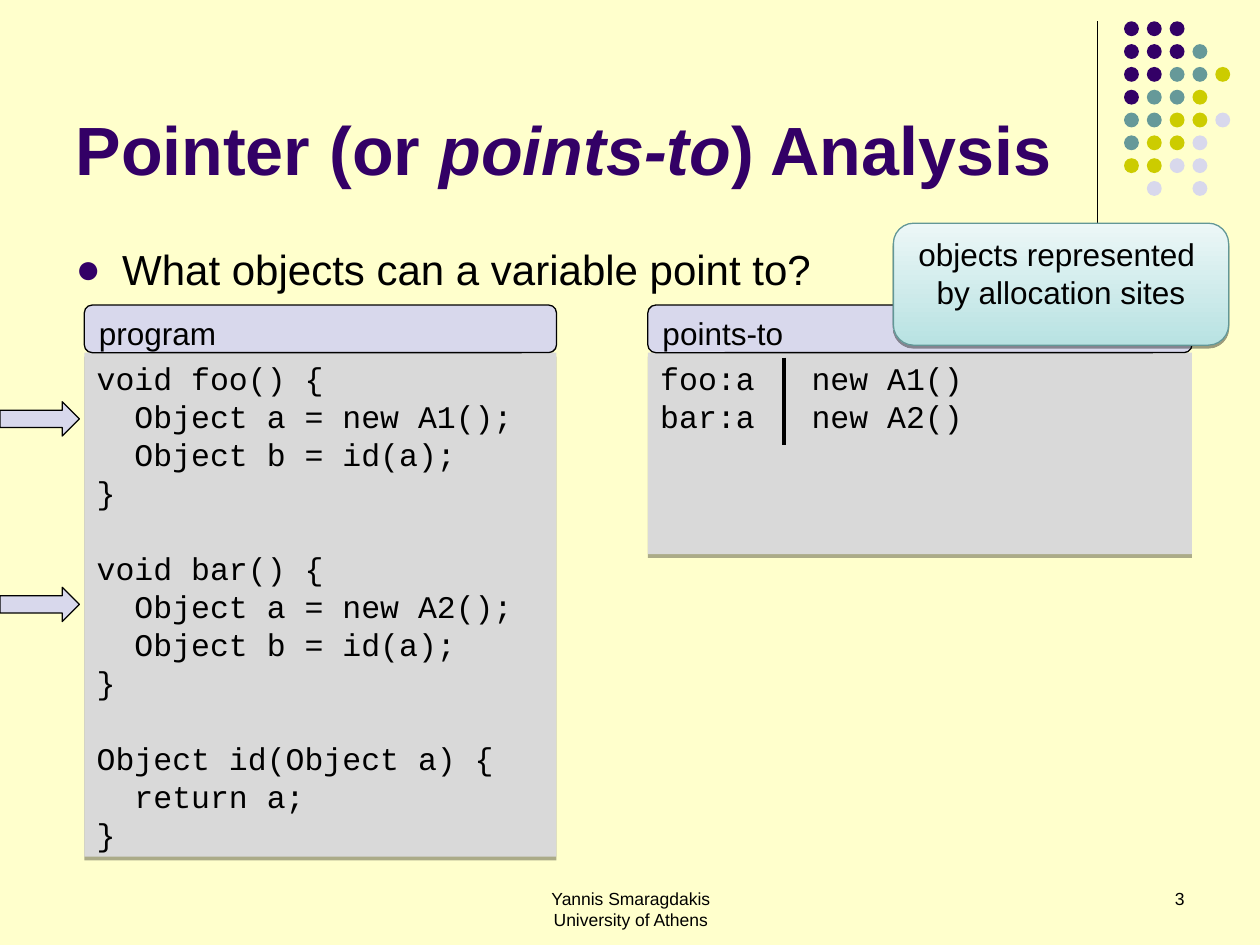
from lxml.etree import SubElement
from pptx import Presentation
from pptx.dml.color import RGBColor
from pptx.enum.shapes import MSO_CONNECTOR as Line, MSO_SHAPE as Kind
from pptx.enum.text import MSO_ANCHOR as Anchor, MSO_AUTO_SIZE as AutoSize, PP_ALIGN as Align
from pptx.oxml.ns import qn
from pptx.util import Cm, Pt

PURPLE, TEAL, OLIVE, LILAC = "330066", "669999", "CCCC00", "D8D8EC"
DOT_COLORS = {"P": PURPLE, "T": TEAL, "O": OLIVE, "L": LILAC}
DOT_ROWS = ["PPP", "PPPT", "PPTTO", "PTTO", "TTOOL", "TOOL", "OOLL", " L L"]
DOT_LEFT, DOT_TOP, DOT_PITCH, DOT_SIZE = 22.66, 0.43, 0.46, 0.3

TITLE = [[("Pointer (or ", False), ("points-to", True), (") Analysis", False)]]
QUESTION = ["What objects can a variable point to?"]
FUNCTIONS = [
    ["void foo() {", "  Object a = new A1();", "  Object b = id(a);", "}"],
    ["void bar() {", "  Object a = new A2();", "  Object b = id(a);", "}"],
    ["Object id(Object a) {", "  return a;", "}"],
]
POINTS_TO = [["foo:a\tnew A1()", "bar:a\tnew A2()"]]
PANELS = [
    ("program", FUNCTIONS, 1.7, 9.52, 10.16),
    ("points-to", POINTS_TO, 13.06, 10.97, 4.06),
]
HEADER_TOP, HEADER_HEIGHT = 6.15, 0.96
CODE_LINE = 21.7
ARROW_TOPS = [8.1, 11.84]
CALLOUT = ["objects represented ", "by allocation sites"]
FOOTERS = [
    (["Yannis Smaragdakis", "University of Athens"], 8.69, 8.05, Align.CENTER),
    (["3"], 18.21, 5.92, Align.RIGHT),
]


def color(value):
    """Turn a hex string into a colour."""
    return RGBColor.from_string(value)


def write(shape, lines, size=18, font="Arial", ink="000000", bold=False, align=Align.LEFT,
          anchor=Anchor.TOP, spacing=None, gaps=(), bullet=None, tab=None):
    """Fill a shape with paragraphs, given as strings or lists of (text, italic)."""
    frame = shape.text_frame
    frame.word_wrap, frame.auto_size, frame.vertical_anchor = True, AutoSize.NONE, anchor
    for index, line in enumerate(lines):
        paragraph = frame.paragraphs[0] if index == 0 else frame.add_paragraph()
        properties = paragraph._p.get_or_add_pPr()
        if bullet:
            properties.set("marL", str(Cm(0.94)))
            properties.set("indent", str(-Cm(0.94)))
            SubElement(SubElement(properties, qn("a:buClr")), qn("a:srgbClr"), val=PURPLE)
            SubElement(properties, qn("a:buFont"), typeface="Arial")
            SubElement(properties, qn("a:buChar"), char=bullet)
        if tab:
            stops = SubElement(properties, qn("a:tabLst"))
            SubElement(stops, qn("a:tab"), pos=str(Cm(tab)), algn="l")
        paragraph.alignment = align
        paragraph.space_before = Pt(CODE_LINE if index in gaps else 0)
        if spacing:
            paragraph.line_spacing = Pt(spacing)
        for text, italic in [(line, False)] if isinstance(line, str) else line:
            run = paragraph.add_run()
            run.text = text
            run.font.name, run.font.size = font, Pt(size)
            run.font.bold, run.font.italic = bold, italic
            run.font.color.rgb = color(ink)


def place(shape, left, top, width, height):
    """Move and size a shape in centimetres."""
    shape.left, shape.top, shape.width, shape.height = map(Cm, (left, top, width, height))


def add_block(kind, box, fill=None, edge=None, shadow=None):
    """Add a preset shape; shadow is (distance in points, opacity in percent)."""
    shape = slide.shapes.add_shape(kind, *map(Cm, box))
    shape.shadow.inherit = False
    if fill:
        shape.fill.solid()
        shape.fill.fore_color.rgb = color(fill)
    if edge:
        shape.line.color.rgb, shape.line.width = color(edge), Pt(0.75)
    else:
        shape.line.fill.background()
    if shadow:
        distance, opacity = shadow
        effects = shape._element.spPr.find(qn("a:effectLst"))
        outer = SubElement(effects, qn("a:outerShdw"), blurRad="0", dist=str(Pt(distance)),
                           dir="5400000", rotWithShape="0")
        tint = SubElement(outer, qn("a:srgbClr"), val="000000")
        SubElement(tint, qn("a:alpha"), val=str(opacity * 1000))
    return shape


def add_rule(x, top, bottom, weight):
    """Add a vertical black line."""
    rule = slide.shapes.add_connector(Line.STRAIGHT, Cm(x), Cm(top), Cm(x), Cm(bottom))
    rule.line.color.rgb, rule.line.width = color("000000"), Pt(weight)
    SubElement(rule._element.spPr, qn("a:effectLst"))


deck = Presentation()
deck.slide_width, deck.slide_height = Cm(25.4), Cm(19.05)
slide = deck.slides.add_slide(deck.slide_layouts[1])
slide.background.fill.solid()
slide.background.fill.fore_color.rgb = color("FFFFCC")

title, question = slide.placeholders
place(title, 1.27, 0.33, 20.96, 3.61)
write(title, TITLE, size=39, ink=PURPLE, bold=True, anchor=Anchor.BOTTOM)
place(question, 1.27, 4.78, 22.86, 12.24)
write(question, QUESTION, size=24, bullet="●")

add_rule(22.12, 0.43, 4.65, 0.75)
for row, dots in enumerate(DOT_ROWS):
    for column, dot in enumerate(dots):
        if dot in DOT_COLORS:
            add_block(Kind.OVAL, (DOT_LEFT + column * DOT_PITCH, DOT_TOP + row * DOT_PITCH,
                                  DOT_SIZE, DOT_SIZE), DOT_COLORS[dot])

for heading, groups, left, width, height in PANELS:
    code = add_block(Kind.RECTANGLE, (left, HEADER_TOP + HEADER_HEIGHT, width, height),
                     "D9D9D9", shadow=(2.2, 32))
    starts = [sum(map(len, groups[:n])) for n in range(1, len(groups))]
    write(code, sum(groups, []), font="Courier New", spacing=CODE_LINE, gaps=starts, tab=3.05)
    header = add_block(Kind.ROUNDED_RECTANGLE, (left, HEADER_TOP, width, HEADER_HEIGHT),
                       LILAC, "000000")
    write(header, [heading])

add_rule(15.8, 7.21, 8.97, 2.5)
for top in ARROW_TOPS:
    add_block(Kind.RIGHT_ARROW, (0, top, 1.6, 0.69), LILAC, "000000")

callout = add_block(Kind.ROUNDED_RECTANGLE, (18.01, 4.5, 6.76, 2.46), edge="629797",
                    shadow=(1.6, 38))
callout.fill.gradient()
callout.fill.gradient_angle = 270
for stop, position, shade in zip(callout.fill.gradient_stops, (0, 1), ("ECF7F7", "B8E2E2")):
    stop.position, stop.color.rgb = position, color(shade)
write(callout, CALLOUT, align=Align.CENTER)

for lines, left, width, align in FOOTERS:
    footer = slide.shapes.add_textbox(Cm(left), Cm(17.78), Cm(width), Cm(1.27))
    write(footer, lines, size=10, align=align)

deck.save("out.pptx")
